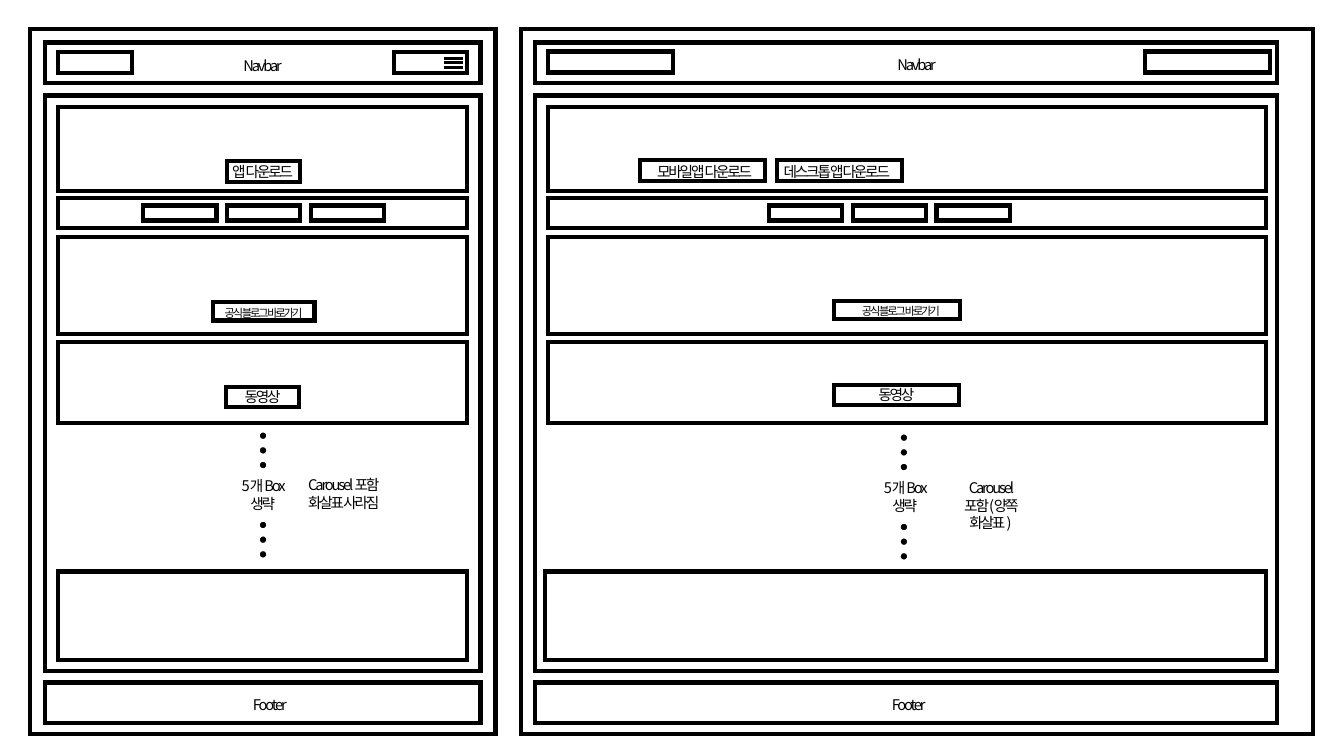
import pptx
import pptx.util
import pptx.dml.color
import pptx.enum.shapes
import pptx.enum.text
import pptx.oxml.ns
import lxml.etree

Cm, Pt = pptx.util.Cm, pptx.util.Pt
KIND = pptx.enum.shapes.MSO_SHAPE
BLACK = pptx.dml.color.RGBColor(0, 0, 0)
WHITE = pptx.dml.color.RGBColor(255, 255, 255)
FACE = "Noto Sans CJK KR"
FRAME = {"word_wrap": True, "auto_size": pptx.enum.text.MSO_AUTO_SIZE.SHAPE_TO_FIT_TEXT}

OUTER = [(0.74, 17.75)]
BANDS = [(1.07, 1.02), (2.41, 14.5), (17.2, 1.02)]
BOXES = [(2.69, 2.13), (5.0, 0.74), (5.97, 2.44), (8.61, 2.06)]
LAST = [(14.4, 2.24)]
TABS = {"top": 5.18, "wide": 1.85, "high": 0.38, "step": 2.11, "count": 3}
DOTS = {"size": 0.2, "step": 0.37, "count": 3, "jump": 2.25}
MENU = {"left": 11.18, "right": 11.66, "top": 1.47, "step": 0.11, "count": 3}

MOBILE = {
    "spans": [(0.76, 11.73, OUTER), (1.14, 10.97, BANDS),
              (1.47, 10.31, BOXES), (1.47, 10.31, LAST)],
    "buttons": [(1.47, 1.32, 1.85, 0.53), (9.93, 1.32, 1.85, 0.53),
                (5.72, 4.06, 1.85, 0.53), (5.36, 7.62, 2.57, 0.46),
                (5.69, 9.75, 1.85, 0.51)],
    "tabs": 3.61,
    "dots": (6.53, 10.88),
    "labels": [("Navbar", 5.54, 1.3, 2.16, 10.5),
               ("앱  다운로드", 5.54, 3.99, 2.16, 10.5),
               ("공식  블로그  바로가기", 3.94, 7.59, 5.41, 8),
               ("동영상", 5.54, 9.65, 2.16, 10.5),
               ("5개 Box 생략", 5.54, 11.89, 2.16, 10.5),
               ("Carousel 포함\n화살표 사라짐", 7.37, 11.87, 2.59, 10.5),
               ("Footer", 5.72, 17.4, 2.16, 10.5)],
}
DESKTOP = {
    "spans": [(13.13, 19.96, OUTER), (13.49, 18.69, BANDS),
              (13.82, 18.08, BOXES), (13.74, 18.16, LAST)],
    "buttons": [(13.82, 1.3, 3.15, 0.53), (28.85, 1.3, 3.15, 0.53),
                (16.13, 4.04, 3.15, 0.53), (19.58, 4.04, 3.15, 0.53),
                (21.01, 7.59, 3.18, 0.46), (21.01, 9.7, 3.15, 0.51)],
    "tabs": 19.38,
    "dots": (22.68, 10.93),
    "labels": [("Navbar", 21.26, 1.27, 3.68, 10.5),
               ("모바일앱  다운로드", 15.92, 3.99, 3.68, 10.5),
               ("데스크톱 앱 다운로드", 19.25, 3.99, 3.68, 10.5),
               ("공식  블로그  바로가기", 18.11, 7.54, 9.19, 8),
               ("동영상", 20.75, 9.6, 3.68, 10.5),
               ("5개 Box 생략", 21.72, 11.94, 2.16, 10.5),
               ("Carousel 포함(양쪽 화살표 )", 23.88, 11.94, 2.16, 10.5),
               ("Footer", 21.06, 17.42, 3.68, 10.5)],
}


def put(item, values):
    """Set each attribute named in a dict."""
    for name, value in values.items():
        setattr(item, name, value)


def add(parent, tag, **values):
    """Append one drawing element."""
    return lxml.etree.SubElement(parent, pptx.oxml.ns.qn(tag), values)


def rect(slide, left, top, wide, high):
    """Draw one hollow box."""
    shape = slide.shapes.add_shape(KIND.RECTANGLE, Cm(left), Cm(top), Cm(wide), Cm(high))
    shape.shadow.inherit = False
    shape.fill.background()
    shape.line.color.rgb = BLACK
    shape.line.width = Pt(3)
    add(shape.line._get_or_add_ln(), "a:miter", lim="800000")


def dot(slide, left, top):
    """Draw one black dot."""
    size = Cm(DOTS["size"])
    shape = slide.shapes.add_shape(KIND.OVAL, Cm(left), Cm(top), size, size)
    shape.shadow.inherit = False
    shape.fill.solid()
    shape.fill.fore_color.rgb = BLACK
    shape.line.color.rgb = WHITE
    shape.line.width = Pt(1)


def label(slide, text, left, top, wide, size):
    """Write one centred label."""
    high = 1.14 if "Carousel" in text else 0.74 if size > 8 else 0.61
    box = slide.shapes.add_textbox(Cm(left), Cm(top), Cm(wide), Cm(high))
    frame = box.text_frame
    put(frame, FRAME)
    frame.text = text
    for para in frame.paragraphs:
        para.alignment = pptx.enum.text.PP_ALIGN.CENTER
        for run in para.runs:
            put(run.font, {"size": Pt(size), "name": FACE})
            run.font.color.rgb = BLACK
            props = run.font._element
            props.set("spc", "-150")
            add(props, "a:ea", typeface=FACE)


def menu(slide):
    """Draw the menu icon."""
    for row in range(MENU["count"]):
        high = Cm(MENU["top"] + row * MENU["step"])
        bar = slide.shapes.add_connector(
            pptx.enum.shapes.MSO_CONNECTOR.STRAIGHT,
            Cm(MENU["left"]), high, Cm(MENU["right"]), high)
        bar.line.color.rgb = BLACK
        bar.line.width = Pt(2.25)
        add(bar._element.spPr, "a:effectLst")


def page(slide, view):
    """Draw one wireframe."""
    for left, wide, rows in view["spans"]:
        for top, high in rows:
            rect(slide, left, top, wide, high)
    for place in view["buttons"]:
        rect(slide, *place)
    for col in range(TABS["count"]):
        rect(slide, view["tabs"] + col * TABS["step"], TABS["top"], TABS["wide"], TABS["high"])
    for entry in view["labels"]:
        label(slide, *entry)
    left, top = view["dots"]
    for group in range(2):
        for row in range(DOTS["count"]):
            dot(slide, left, top + group * DOTS["jump"] + row * DOTS["step"])


def main():
    """Build and save the slide."""
    deck = pptx.Presentation()
    put(deck, {"slide_width": Cm(33.87), "slide_height": Cm(19.05)})
    slide = deck.slides.add_slide(deck.slide_layouts[6])
    for view in (MOBILE, DESKTOP):
        page(slide, view)
    menu(slide)
    deck.save("out.pptx")


if __name__ == "__main__":
    main()
